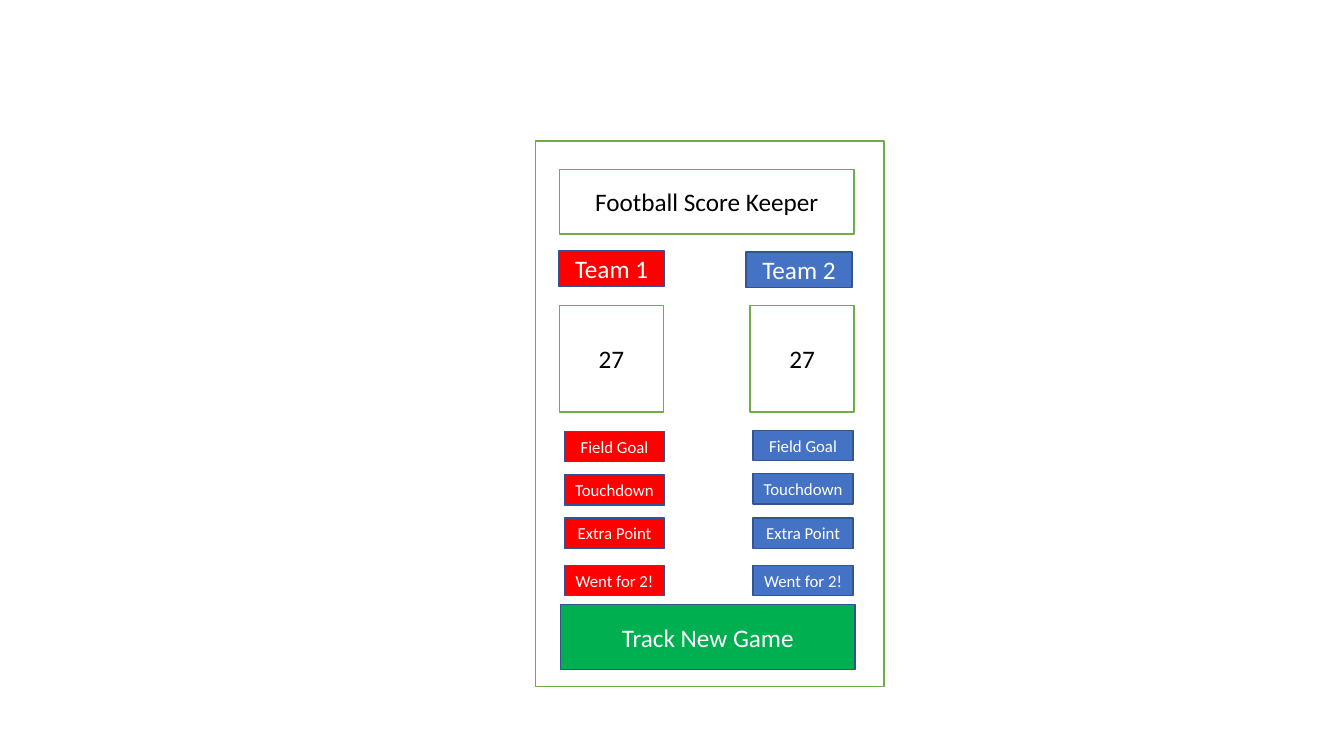
from pptx import Presentation
from pptx.dml.color import RGBColor
from pptx.enum.shapes import MSO_SHAPE
from pptx.enum.text import MSO_ANCHOR, MSO_AUTO_SIZE, PP_ALIGN
from pptx.util import Inches, Pt

COLORS = {"white": "FFFFFF", "black": "000000", "green_line": "70AD47",
          "blue_line": "325491", "red": "FF0000", "blue": "4472C4",
          "green": "00B050"}
PLAYS = {"Field Goal": 1.78, "Touchdown": 2.21,
         "Extra Point": 2.64, "Went for 2!": 3.11}


def rgb(name):
    return RGBColor.from_string(COLORS[name])


def format_box(sp, fill, text="", size=18):
    plain = fill == "white"
    sp.fill.solid()
    sp.fill.fore_color.rgb = rgb(fill)
    sp.line.color.rgb = rgb("green_line" if plain else "blue_line")
    sp.line.width = Pt(1)
    if not text:
        return
    tf = sp.text_frame
    tf.word_wrap = True
    tf.auto_size = MSO_AUTO_SIZE.NONE
    tf.vertical_anchor = MSO_ANCHOR.MIDDLE
    tf.margin_left = tf.margin_right = Inches(0.05)
    p = tf.paragraphs[0]
    p.alignment = PP_ALIGN.CENTER
    r = p.add_run()
    r.text = text
    r.font.name = "Calibri"
    r.font.size = Pt(size)
    r.font.color.rgb = rgb("black" if plain else "white")


def add_box(s, x, y, w, h, fill, text="", size=18):
    sp = s.shapes.add_shape(MSO_SHAPE.RECTANGLE, Inches(x), Inches(y),
                            Inches(w), Inches(h))
    sp.shadow.inherit = False
    format_box(sp, fill, text, size)
    return sp


def add_title(s, frame, x, y, w, h):
    title = s.shapes.title
    title.left, title.top = Inches(x), Inches(y)
    title.width, title.height = Inches(w), Inches(h)
    format_box(title, "white", "Football Score Keeper")
    frame.element.addnext(title.element)


def add_team(s, x, y, name, score, fill, name_at, score_at, play_at):
    name_x, name_y = name_at
    play_x, play_shift = play_at
    add_box(s, x + score_at, y + 0.53, 1.03, 1.06, "white", score)
    for play, top in PLAYS.items():
        add_box(s, x + play_x, y + top + play_shift.get(play, 0),
                0.99, 0.3, fill, play, 12)
    add_box(s, x + name_x, y + name_y, 1.05, 0.35, fill, name)


def add_score_keeper(s, x, y, w, h):
    frame = add_box(s, x, y, w, h, "white")
    add_title(s, frame, x + 0.24, y + 0.28, 2.92, 0.64)
    add_team(s, x + 0.23, y + 1.1, "Team 1", "27", "red",
             (0, -0.01), 0.01, (0.06, {}))
    add_team(s, x + 2.09, y + 1.1, "Team 2", "27", "blue",
             (0, 0), 0.04, (0.07, {"Field Goal": -0.01, "Touchdown": -0.01}))
    add_box(s, x + 0.25, y + 4.6, 2.92, 0.64, "green", "Track New Game")


prs = Presentation()
prs.slide_width, prs.slide_height = Inches(13.33), Inches(7.5)
s = prs.slides.add_slide(prs.slide_layouts[5])
add_score_keeper(s, 5.31, 1.4, 3.46, 5.41)
prs.save("out.pptx")
